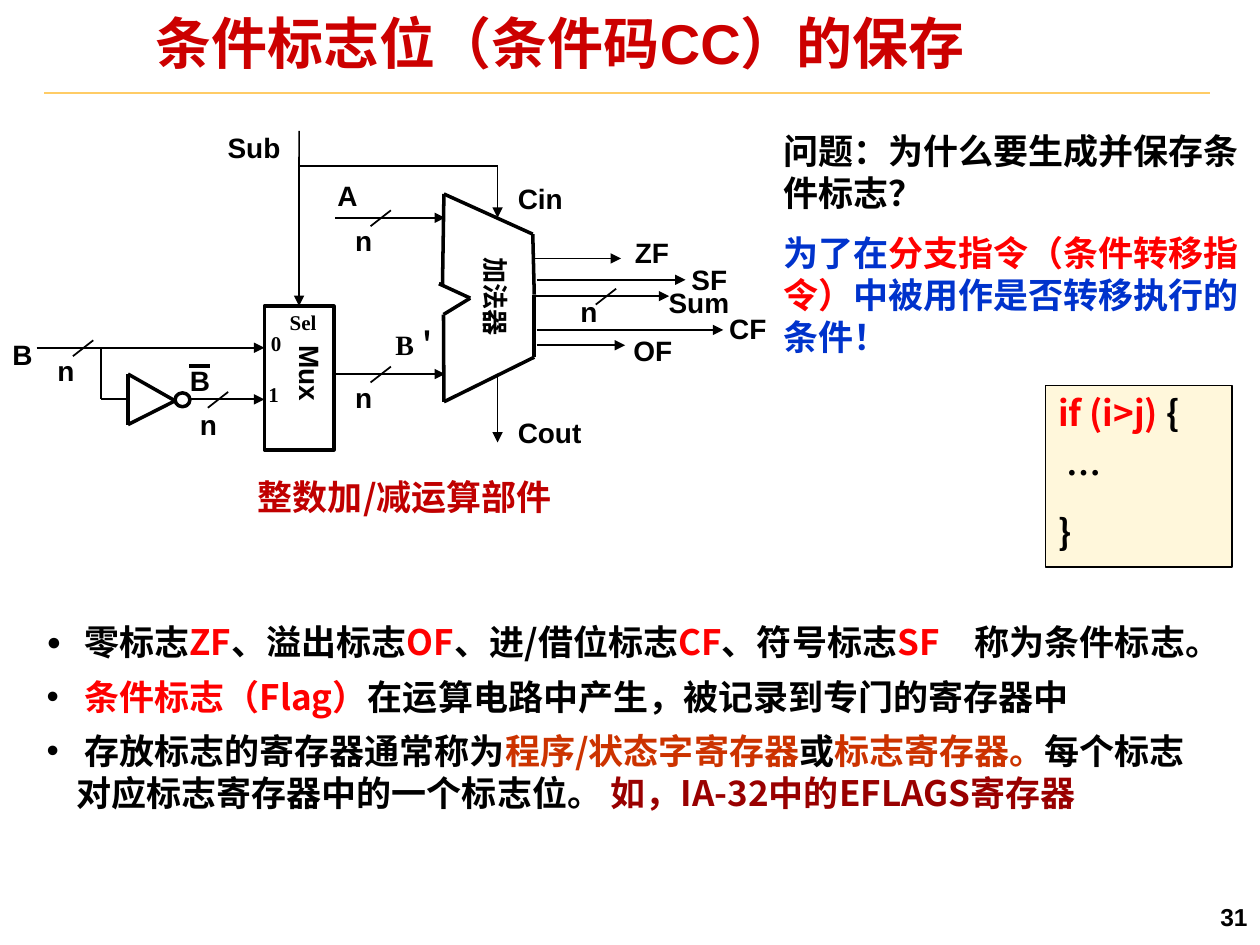
from itertools import pairwise

from pptx import Presentation
from pptx.dml.color import RGBColor
from pptx.enum.shapes import MSO_CONNECTOR, MSO_SHAPE
from pptx.enum.text import MSO_ANCHOR, MSO_AUTO_SIZE, PP_ALIGN
from pptx.oxml.ns import qn
from pptx.util import Cm, Pt
from lxml.etree import SubElement

BLACK = RGBColor(0, 0, 0)
RED = RGBColor(0xFF, 0, 0)
BLUE = RGBColor(0, 0x33, 0xCC)
RUST = RGBColor(0xCC, 0x33, 0)
MAROON = RGBColor(0x99, 0, 0)
CRIMSON = RGBColor(0xC0, 0, 0)
TITLE = RGBColor(0xCC, 0, 0)
GOLD = RGBColor(0xFF, 0xCC, 0x66)
AMBER = RGBColor(0xFF, 0xCC, 0)
SANS, CJK, SERIF = "Arial", "Noto Sans CJK SC", "Times New Roman"


def write(frame, paras, size, face, gap=0):
    """Fill a frame with paragraphs given as lists of (words, colour)."""
    for i, runs in enumerate(paras):
        para = frame.add_paragraph() if i else frame.paragraphs[0]
        para.alignment = PP_ALIGN.LEFT
        if i and gap:
            para.space_before = Pt(gap)
        for words, tint in runs:
            run = para.add_run()
            run.text = words
            font = run.font
            font.size, font.name, font.bold = Pt(size), face, True
            font.color.rgb = tint
            SubElement(run._r.get_or_add_rPr(), qn("a:ea")).set("typeface", CJK)


def add_text(slide, box, paras, size, face, gap=0, wrap=True):
    """Add a text box and return it."""
    shape = slide.shapes.add_textbox(*map(Cm, box))
    shape.text_frame.word_wrap = wrap
    if not wrap:
        shape.text_frame.auto_size = MSO_AUTO_SIZE.SHAPE_TO_FIT_TEXT
    write(shape.text_frame, paras, size, face, gap)
    return shape


def add_line(slide, start, end, width=1, tint=BLACK, arrow=False):
    """Draw a straight line, with an arrowhead at its end if asked."""
    line = slide.shapes.add_connector(
        MSO_CONNECTOR.STRAIGHT, *map(Cm, (*start, *end)))
    line.line.color.rgb = tint
    line.line.width = Pt(width)
    if arrow:
        SubElement(line.line._get_or_add_ln(), qn("a:tailEnd")).set("type", "triangle")
    SubElement(line._element.spPr, qn("a:effectLst"))
    return line


def add_form(slide, kind, box, width):
    """Add an unfilled black outline."""
    form = slide.shapes.add_shape(kind, *map(Cm, box))
    form.shadow.inherit = False
    form.fill.background()
    form.line.color.rgb = BLACK
    form.line.width = Pt(width)
    return form


def draw_head(slide, x, y, wide):
    """Place the title and the rule under it."""
    add_line(slide, (x, y + 1.6), (x + wide, y + 1.6), tint=GOLD)
    shape = add_text(slide, (x + 2.06, y, 20.37, 1.32),
                     [[("条件标志位（条件码CC）的保存", TITLE)]], 32, SANS)
    frame = shape.text_frame
    frame.margin_left = frame.margin_right = Cm(0.18)
    frame.margin_top = frame.margin_bottom = Cm(0.08)
    frame.paragraphs[0].line_spacing = 0.87


def draw_unit(slide, x, y):
    """Draw the add and subtract unit with its labels."""
    def spot(point):
        """Shift a point into the unit."""
        return x + point[0], y + point[1]

    def wire(start, end, arrow=False, width=1):
        """Draw one wire."""
        return add_line(slide, spot(start), spot(end), width, arrow=arrow)

    def trace(points):
        """Draw a thick outline through the points."""
        for start, end in pairwise(points):
            wire(start, end, width=2)

    def label(words, left, top, wide, size=16, face=SANS, high=0.91, wrap=False, tint=BLACK):
        """Place one label."""
        return add_text(slide, (*spot((left, top)), wide, high),
                        [[(words, tint)]], size, face, wrap=wrap)

    def mark(left, top, across=-0.56, down=0.15):
        """Mark a wire as n bits wide."""
        wire((left + 0.41, top), (left, top + 0.32))
        label("n", left + across, top + down, 0.84)

    mux = add_form(slide, MSO_SHAPE.RECTANGLE, (*spot((5.33, 3.67)), 1.4, 2.9), 2)
    add_form(slide, MSO_SHAPE.OVAL, (*spot((3.53, 5.42)), 0.3, 0.28), 2)
    trace([(8.95, 1.41), (10.74, 2.22), (10.77, 3.44), (10.77, 4.7), (8.95, 5.6),
           (8.94, 3.84), (9.48, 3.51), (8.85, 3.22), (8.92, 3.24), (8.95, 1.41)])
    trace([(2.58, 5.04), (3.53, 5.58), (2.58, 6.06), (2.58, 5.04)])

    wire((6.03, 0.14), (6.03, 3.67), True).end_connect(mux, 0)
    for start, end in [((6.03, 0.85), (10.04, 0.85)), ((2.04, 4.52), (2.04, 5.55)),
                       ((2.04, 5.55), (2.58, 5.55))]:
        wire(start, end)
    for left, right, level in [
            (6.76, 8.97, 1.89), (6.76, 8.97, 5.04), (0.74, 5.33, 4.51), (3.84, 5.33, 5.55),
            (10.74, 12.52, 2.71), (10.82, 13.82, 3.14), (10.77, 13.49, 3.47),
            (10.82, 14.58, 4.15), (10.82, 12.6, 4.46)]:
        wire((left, level), (right, level), True)
    for top, low in [(0.85, 1.89), (5.07, 6.42)]:
        wire((10.03, top), (10.03, low), True)
    wire((3.81, 4.87), (4.24, 4.87), width=2.25)

    mark(7.47, 1.74)
    mark(7.47, 4.89)
    mark(12.01, 3.32, down=0)
    mark(1.47, 4.36)
    mark(4.19, 5.4, -0.41, 0.2)

    for words, left, top, wide in [
            ("Sub", 4.34, 0.01, 1.6), ("A", 6.55, 0.98, 0.91), ("Cin", 10.19, 1.03, 1.45),
            ("Cout", 10.19, 5.76, 1.85), ("B", 0, 4.18, 0.91), ("B", 3.58, 4.71, 0.91),
            ("ZF", 12.55, 2.12, 1.22), ("SF", 13.69, 2.66, 1.5), ("Sum", 13.23, 3.14, 1.76),
            ("CF", 14.45, 3.65, 1.52), ("OF", 12.52, 4.1, 1.33)]:
        label(words, left, top, wide, wrap=words in ("SF", "CF"))
    for words, left, top, wide in [
            ("Sel", 5.59, 3.62, 1.04), ("0", 5.21, 4.03, 0.71), ("1", 5.16, 5.07, 0.71)]:
        label(words, left, top, wide, 12, SERIF, 0.76)
    label("B＇", 7.72, 3.98, 1.73, face=SERIF, wrap=True)
    label("加法器", 8.71, 3.29, 2.59, 15, high=0.89, wrap=True).rotation = 90
    label("Mux", 5.26, 4.74, 1.98, high=0.94, wrap=True).rotation = 90
    label("整数加/减运算部件", 4.95, 6.97, 6.63, 20, CJK, 1.09, True, CRIMSON)


def draw_quiz(slide, x, y, wide, high):
    """Place the question and its answer."""
    add_text(slide, (x, y, wide, high), [
        [("问题：为什么要生成并保存条件标志？", BLACK)],
        [("为了在", BLUE), ("分支指令（条件转移指令）", RED),
         ("中被用作是否转移执行的条件！", BLUE)]], 20, SANS, 10)


def draw_code(slide, x, y, wide, high):
    """Place the pale box with the code sample."""
    form = add_form(slide, MSO_SHAPE.RECTANGLE, (x, y, wide, high), 0.75)
    form.fill.solid()
    form.fill.fore_color.rgb = AMBER
    shade = form._element.spPr.find(qn("a:solidFill"))[0]
    SubElement(shade, qn("a:alpha")).set("val", "14000")
    form.text_frame.vertical_anchor = MSO_ANCHOR.TOP
    write(form.text_frame, [[("if (i>j)", RED), (" {", BLACK)],
                            [(" …", BLACK)], [("}", BLACK)]], 20, CJK, 10)


def draw_notes(slide, x, y, wide, high):
    """Place the bullet list on the flags."""
    shape = add_text(slide, (x, y, wide, high), [
        [(" 零标志", BLACK), ("ZF", RED), ("、溢出标志", BLACK), ("OF", RED),
         ("、进/借位标志", BLACK), ("CF", RED), ("、符号标志", BLACK),
         ("SF　", RED), ("称为条件标志。", BLACK)],
        [(" 条件标志（Flag）", RED), ("在运算电路中产生，被记录到专门的寄存器中", BLACK)],
        [(" 存放标志的寄存器通常称为", BLACK), ("程序/状态字寄存器", RUST), ("或", BLACK),
         ("标志寄存器。", RUST), ("每个标志对应标志寄存器中的一个标志位。", BLACK),
         (" 如，IA-32中的EFLAGS寄存器", MAROON)]], 20, CJK, 7)
    shape.text_frame.vertical_anchor = MSO_ANCHOR.MIDDLE
    for i, para in enumerate(shape.text_frame.paragraphs):
        props = para._p.get_or_add_pPr()
        props.set("marL", str(Cm(0.6)))
        props.set("indent", str(-Cm(0.6)))
        tint = SubElement(props, qn("a:buClr"))
        SubElement(tint, qn("a:srgbClr")).set("val", str(BLACK))
        if not i:
            SubElement(props, qn("a:buSzPct")).set("val", "70000")
        SubElement(props, qn("a:buFont")).set("typeface", SANS)
        SubElement(props, qn("a:buChar")).set("char", "•" if i else "●")


def draw_foot(slide, x, y, wide, high):
    """Place the page number."""
    shape = add_text(slide, (x, y, wide, high), [[("31", BLACK)]], 14, SANS)
    shape.text_frame.vertical_anchor = MSO_ANCHOR.MIDDLE
    shape.text_frame.paragraphs[0].alignment = PP_ALIGN.RIGHT


def main():
    """Build the slide and save it."""
    deck = Presentation()
    deck.slide_width, deck.slide_height = Cm(25.4), Cm(19.05)
    slide = deck.slides.add_slide(deck.slide_layouts[6])
    draw_head(slide, 0.89, 0.28, 23.5)
    draw_notes(slide, 0.69, 12.34, 24.13, 4.24)
    draw_unit(slide, 0, 2.5)
    draw_quiz(slide, 15.54, 2.49, 9.86, 4.9)
    draw_code(slide, 21.08, 7.77, 3.76, 3.66)
    draw_foot(slide, 19.69, 17.98, 5.71, 1.02)
    deck.save("out.pptx")


if __name__ == "__main__":
    main()
